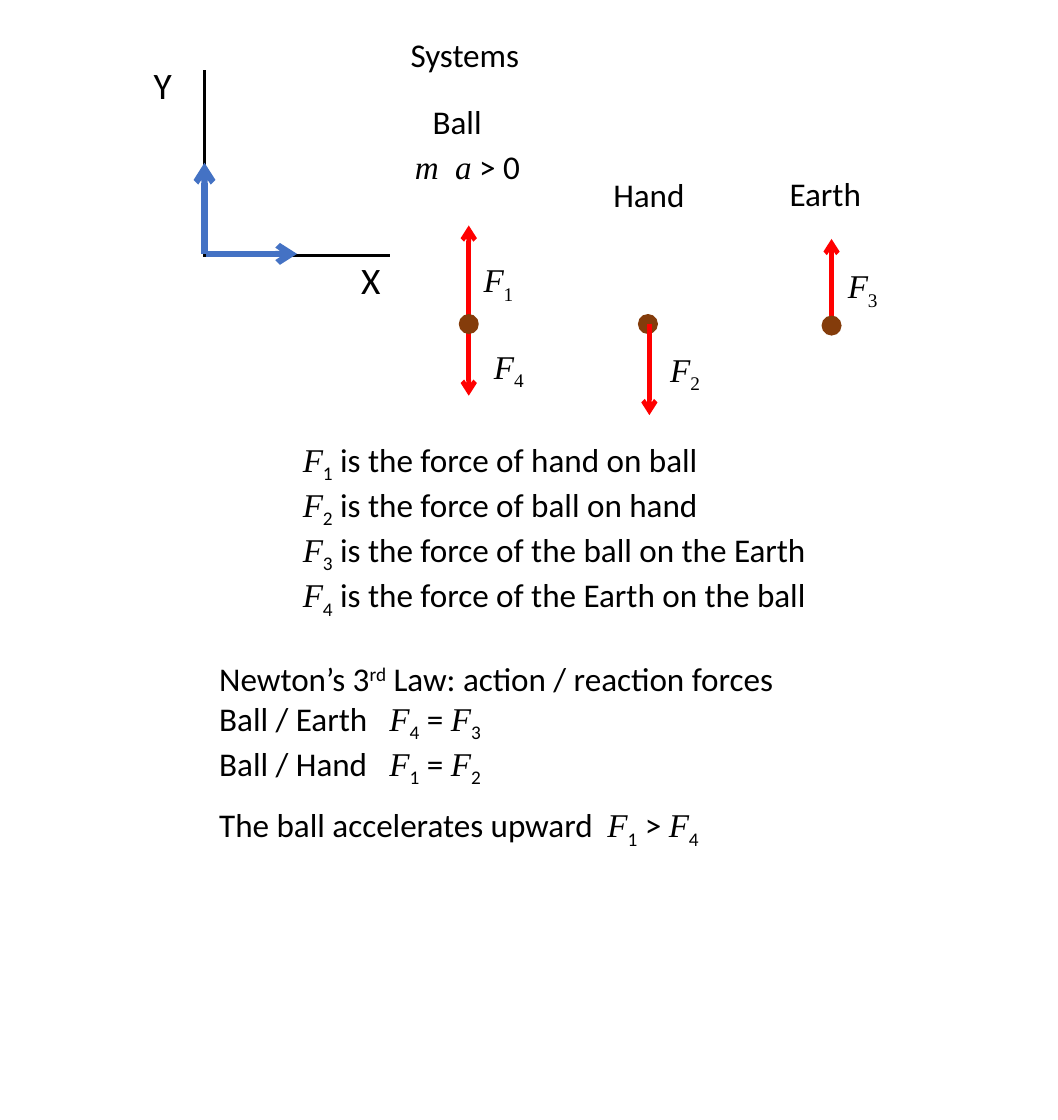
import pptx
import pptx.dml.color
import pptx.enum.shapes
import pptx.enum.text
import pptx.oxml.ns
import pptx.util
from lxml import etree

Inches = pptx.util.Inches
Pt = pptx.util.Pt
RGBColor = pptx.dml.color.RGBColor
qn = pptx.oxml.ns.qn

BLACK = RGBColor(0x00, 0x00, 0x00)
RED = RGBColor(0xFF, 0x00, 0x00)
BLUE = RGBColor(0x44, 0x72, 0xC4)
BROWN = RGBColor(0x84, 0x3C, 0x0B)
SANS, SERIF = "Calibri", "Times New Roman"
CM_PER_INCH = 2.54

FONT_ITALIC_BASELINE = {
    "plain": (SANS, False, 0),
    "symbol": (SERIF, True, 0),
    "sub": (SANS, False, -25000),
    "serif sub": (SERIF, False, -25000),
    "super": (SANS, False, 30000),
}


def force(n, sub="sub"):
    """Return the runs of a force symbol with its index."""
    return [("F", "symbol"), (str(n), sub)]


def plain(text):
    """Return the runs of plain text."""
    return [(text, "plain")]


class Diagram:
    """Draws the elements of the force diagram on the current slide."""

    def __init__(self, slide):
        """Start drawing on the slide itself."""
        self.slide = slide
        self.shapes = slide.shapes

    def fill_text(self, sp, paragraphs, size=16, tab=None):
        """Write paragraphs of runs into a shape."""
        tf = sp.text_frame
        tf.word_wrap = tab is not None
        tf.auto_size = pptx.enum.text.MSO_AUTO_SIZE.NONE
        tf.vertical_anchor = pptx.enum.text.MSO_ANCHOR.TOP
        for i, runs in enumerate(paragraphs):
            p = tf.add_paragraph() if i else tf.paragraphs[0]
            p.alignment = pptx.enum.text.PP_ALIGN.LEFT
            p.line_spacing = 1.0
            p.space_before = Pt(0)
            if tab is not None:
                tabs = etree.SubElement(p._p.get_or_add_pPr(), qn("a:tabLst"))
                etree.SubElement(tabs, qn("a:tab"), pos=str(Inches(tab)), algn="l")
            for text, kind in runs:
                r = p.add_run()
                r.text = text
                name, italic, baseline = FONT_ITALIC_BASELINE[kind]
                r.font.name = name
                r.font.size = Pt(size)
                r.font.italic = italic
                r.font.color.rgb = BLACK
                if baseline:
                    r.font._element.set("baseline", str(baseline))

    def title(self, text, x, y, w, h):
        """Place and format the title."""
        sp = self.slide.shapes.title
        sp.left, sp.top, sp.width, sp.height = map(Inches, (x, y, w, h))
        self.fill_text(sp, [plain(text)])

    def text(self, paragraphs, x, y, w, h=0.37, size=16, tab=None):
        """Add a text box."""
        sp = self.shapes.add_textbox(*map(Inches, (x, y, w, h)))
        self.fill_text(sp, paragraphs, size, tab)

    def line(self, start, end, color, width, head=False, tail=False):
        """Add a straight line with optional arrowheads."""
        sp = self.shapes.add_connector(
            pptx.enum.shapes.MSO_CONNECTOR.STRAIGHT, *map(Inches, start + end))
        sp.line.color.rgb = color
        sp.line.width = Pt(width)
        ln = sp.line._get_or_add_ln()
        for tag, wanted in (("a:headEnd", head), ("a:tailEnd", tail)):
            if wanted:
                etree.SubElement(ln, qn(tag), type="arrow")
        etree.SubElement(sp._element.spPr, qn("a:effectLst"))

    def body(self, x, y, size=0.12):
        """Add the dot that stands for a body."""
        sp = self.shapes.add_shape(
            pptx.enum.shapes.MSO_SHAPE.OVAL, *map(Inches, (x, y, size, size)))
        sp.shadow.inherit = False
        sp.fill.solid()
        sp.fill.fore_color.rgb = BROWN
        sp.line.color.rgb = BROWN
        sp.line.width = Pt(1)

    def axes(self):
        """Add the grouped axes with their unit vectors and names."""
        self.shapes = self.slide.shapes.add_group_shape().shapes
        self.line((1.37, 0.47), (1.37, 1.72), BLACK, 1.5)
        self.line((1.36, 1.71), (2.61, 1.71), BLACK, 1.5)
        self.line((1.38, 1.7), (1.99, 1.7), BLUE, 3, tail=True)
        self.line((1.37, 1.7), (1.37, 1.09), BLUE, 3, tail=True)
        self.text([plain("Y")], 0.93, 0.37, 0.32, 0.4, size=18)
        self.text([plain("X")], 2.32, 1.67, 0.33, 0.4, size=18)
        self.shapes = self.slide.shapes


def main():
    """Build the slide and save it."""
    prs = pptx.Presentation()
    prs.slide_width, prs.slide_height = Inches(18 / CM_PER_INCH), Inches(7.5)
    d = Diagram(prs.slides.add_slide(prs.slide_layouts[5]))

    d.title("Systems", 2.65, 0.18, 0.94, 0.37)
    d.line((3.14, 1.51), (3.14, 2.65), RED, 2.25, head=True, tail=True)
    d.line((5.57, 2.21), (5.57, 1.6), RED, 2.25, tail=True)
    d.axes()

    for name, x, y, w in (("Ball", 2.8, 0.63, 0.53), ("Hand", 4.01, 1.12, 0.68),
                          ("Earth", 5.19, 1.11, 0.69)):
        d.text([plain(name)], x, y, w)
    d.text([[("m\ta", "symbol"), (" > 0", "plain")]], 2.68, 0.93, 0.95, tab=0.27)

    for x, y in ((5.51, 2.12), (4.28, 2.11), (3.08, 2.11)):
        d.body(x, y)
    d.line((4.35, 2.17), (4.35, 2.78), RED, 2.25, tail=True)
    for n, x, y in ((1, 3.14, 1.69), (4, 3.21, 2.27), (2, 4.39, 2.29), (3, 5.58, 1.73)):
        d.text([force(n, "serif sub")], x, y, 0.41)

    meanings = ("hand on ball", "ball on hand", "the ball on the Earth",
                "the Earth on the ball")
    d.text([force(n) + plain(f" is the force of {meaning}")
            for n, meaning in enumerate(meanings, 1)], 1.93, 2.89, 3.63, 1.18)

    law = plain("Newton’s 3") + [("rd", "super")] + plain(" Law: action / reaction forces")
    pairs = [plain(f"Ball / {other}\t") + force(a) + plain(" = ") + force(b)
             for other, a, b in (("Earth", 4, 3), ("Hand", 1, 2))]
    d.text([law] + pairs, 1.37, 4.36, 3.99, 0.91, tab=1.14)
    d.text([plain("The ball accelerates upward\t") + force(1) + plain(" > ") + force(4)],
           1.37, 5.34, 3.49, tab=2.6)

    prs.save("out.pptx")


if __name__ == "__main__":
    main()
